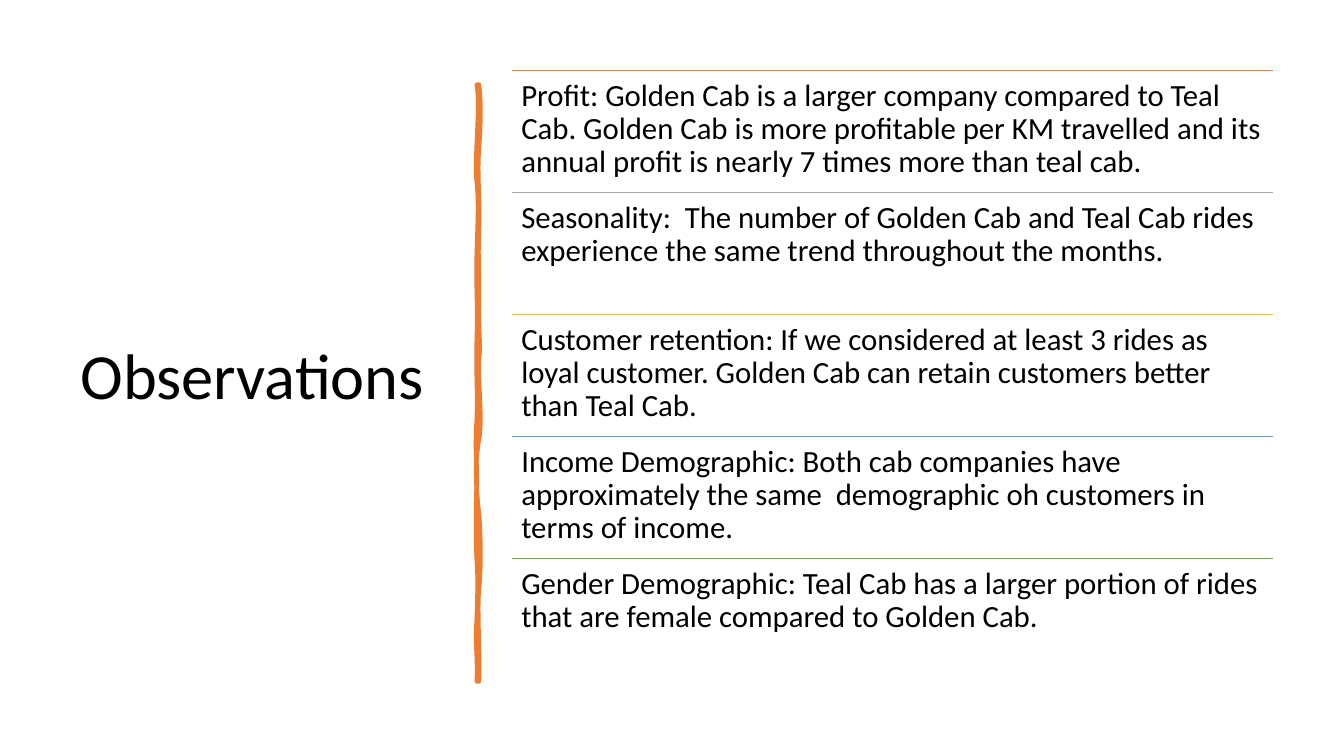
from dataclasses import dataclass

from lxml.etree import SubElement
from pptx import Presentation
from pptx.dml.color import RGBColor as Color
from pptx.enum.text import MSO_ANCHOR as Anchor
from pptx.oxml.ns import qn
from pptx.util import Inches, Pt


@dataclass(frozen=True)
class Theme:
    font: str = "Calibri"
    title_size: float = 46
    body_size: float = 22
    line_spacing: float = 0.9
    rule_width: float = 1
    brush_width: float = 3.25
    text: str = "000000"
    orange: str = "ED7D31"
    gray: str = "A5A5A5"
    gold: str = "FFC000"
    blue: str = "5B9BD5"
    green: str = "70AD47"


class SlideBuilder:
    """Draws styled elements on one slide."""

    def __init__(self, slide, theme):
        self.slide = slide
        self.theme = theme

    def text(self, content, left, top, width, height, size, inset, anchor=Anchor.TOP):
        box = self.slide.shapes.add_textbox(
            Inches(left), Inches(top), Inches(width), Inches(height))
        frame = box.text_frame
        frame.word_wrap = True
        frame.vertical_anchor = anchor
        frame.margin_left = frame.margin_right = Inches(inset)
        frame.margin_top = frame.margin_bottom = Inches(inset)
        paragraph = frame.paragraphs[0]
        paragraph.text = content
        paragraph.line_spacing = self.theme.line_spacing
        paragraph.font.name = self.theme.font
        paragraph.font.size = Pt(size)
        paragraph.font.color.rgb = Color.from_string(self.theme.text)

    def rule(self, left, top, width, color):
        line = self.slide.shapes.add_connector(
            1, Inches(left), Inches(top), Inches(left + width), Inches(top))
        line.line.color.rgb = Color.from_string(color)
        line.line.width = Pt(self.theme.rule_width)
        SubElement(line._element.spPr, qn("a:effectLst"))

    def brush_stroke(self, start, curves, color):
        points = [(Inches(x), Inches(y)) for curve in curves for x, y in curve]
        builder = self.slide.shapes.build_freeform(Inches(start[0]), Inches(start[1]))
        builder.add_line_segments(points, close=True)
        shape = builder.convert_to_shape()
        segments = list(shape._element.iter(qn("a:lnTo")))
        for first in range(0, 3 * len(curves), 3):
            curve = SubElement(segments[first].getparent(), qn("a:cubicBezTo"))
            segments[first].addprevious(curve)
            for segment in segments[first:first + 3]:
                curve.append(segment[0])
                segment.getparent().remove(segment)
        shape.shadow.inherit = False
        shape.fill.solid()
        shape.fill.fore_color.rgb = Color.from_string(color)
        shape.line.color.rgb = Color.from_string(color)
        shape.line.width = Pt(self.theme.brush_width)
        SubElement(shape.line._get_or_add_ln(), qn("a:round"))


theme = Theme()
presentation = Presentation()
presentation.slide_width = Inches(13.33)
presentation.slide_height = Inches(7.5)
slide = presentation.slides.add_slide(presentation.slide_layouts[6])
builder = SlideBuilder(slide, theme)

builder.text("Observations", 0.7, 0.7, 3.74, 6.11, theme.title_size, 0.1, Anchor.MIDDLE)

divider_start = (4.75, 0.84)
divider_curves = [
    ((4.77, 1.02), (4.77, 1.19), (4.75, 1.46)),
    ((4.73, 1.73), (4.76, 1.95), (4.75, 2.26)),
    ((4.74, 2.57), (4.75, 2.62), (4.75, 2.94)),
    ((4.74, 3.25), (4.77, 3.42), (4.75, 3.56)),
    ((4.73, 3.7), (4.79, 4.14), (4.75, 4.36)),
    ((4.71, 4.57), (4.72, 4.84), (4.75, 5.1)),
    ((4.77, 5.36), (4.77, 5.64), (4.75, 5.84)),
    ((4.73, 6.03), (4.76, 6.5), (4.75, 6.76)),
    ((4.74, 6.76), (4.73, 6.76), (4.73, 6.76)),
    ((4.74, 6.46), (4.71, 6.44), (4.73, 6.13)),
    ((4.74, 5.83), (4.74, 5.7), (4.73, 5.57)),
    ((4.72, 5.44), (4.72, 4.95), (4.73, 4.77)),
    ((4.73, 4.59), (4.71, 4.45), (4.73, 4.15)),
    ((4.74, 3.86), (4.72, 3.73), (4.73, 3.35)),
    ((4.74, 2.98), (4.72, 2.81), (4.73, 2.5)),
    ((4.74, 2.18), (4.75, 2), (4.73, 1.81)),
    ((4.7, 1.63), (4.77, 1.04), (4.73, 0.84)),
]
builder.brush_stroke(divider_start, divider_curves, theme.orange)

observations = [
    (theme.orange, "Profit: Golden Cab is a larger company compared to Teal Cab. Golden Cab is more "
     "profitable per KM travelled and its annual profit is nearly 7 times more than teal cab."),
    (theme.gray, "Seasonality:  The number of Golden Cab and Teal Cab rides experience the same "
     "trend throughout the months."),
    (theme.gold, "Customer retention: If we considered at least 3 rides as loyal customer. "
     "Golden Cab can retain customers better than Teal Cab."),
    (theme.blue, "Income Demographic: Both cab companies have approximately the same  demographic "
     "oh customers in terms of income."),
    (theme.green, "Gender Demographic: Teal Cab has a larger portion of rides that are female "
     "compared to Golden Cab."),
]
list_left, list_top, list_width, row_height = 5.08, 0.7, 7.55, 1.21
for index, (color, observation) in enumerate(observations):
    row_top = list_top + index * row_height
    builder.rule(list_left, row_top, list_width, color)
    builder.text(observation, list_left, row_top, list_width, row_height, theme.body_size, 0.09)

presentation.save("out.pptx")
